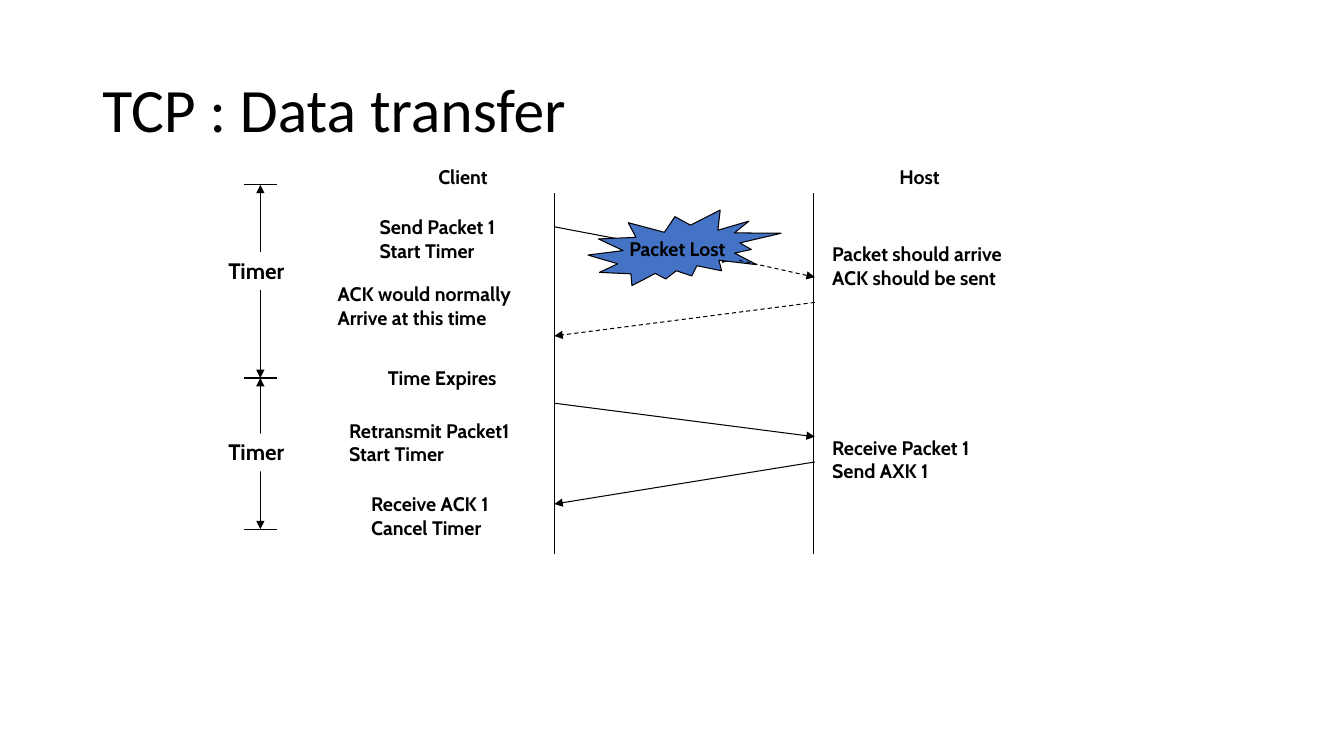
from lxml import etree
from pptx import Presentation
from pptx.dml.color import RGBColor
from pptx.enum.dml import MSO_LINE
from pptx.enum.shapes import MSO_CONNECTOR, MSO_SHAPE
from pptx.enum.text import MSO_ANCHOR, PP_ALIGN
from pptx.oxml.ns import qn
from pptx.util import Emu, Pt

STRAIGHT = MSO_CONNECTOR.STRAIGHT
DASH = MSO_LINE.DASH
RECTANGLE = MSO_SHAPE.RECTANGLE
BURST = MSO_SHAPE.EXPLOSION2
TOP, MIDDLE = MSO_ANCHOR.TOP, MSO_ANCHOR.MIDDLE
LEFT, CENTER = PP_ALIGN.LEFT, PP_ALIGN.CENTER

EMU_PER_PX = 9525
BLACK, WHITE, BLUE = "000000", "FFFFFF", "4472C4"
CLIENT_X, HOST_X, ARROW_HOST_X = 528, 775, 776
TIMER_X, TICK_HALF = 248, 16


def px(length):
    return Emu(length * EMU_PER_PX)


def color(value):
    return RGBColor.from_string(value)


class Diagram:
    """Style and drawing methods for one slide."""

    label_format = {"name": "Cabin", "size": Pt(14), "bold": True}
    timer_format = {"name": "Cabin", "size": Pt(16), "bold": True}
    title_format = {"name": "Calibri", "size": Pt(44), "bold": False}
    line_width = Pt(0.75)

    def __init__(self, slide):
        self.slide = slide

    def fill_text(self, shape, text, font_format, anchor=TOP, align=LEFT,
                  wrap=True, spacing=1.0):
        frame = shape.text_frame
        frame.word_wrap = wrap
        frame.vertical_anchor = anchor
        frame.text = text
        for paragraph in frame.paragraphs:
            paragraph.alignment = align
            paragraph.line_spacing = spacing
            font = paragraph.runs[0].font
            for name, value in font_format.items():
                setattr(font, name, value)
            font.color.rgb = color(BLACK)

    def text(self, box, text, font_format=label_format, **layout):
        shape = self.slide.shapes.add_textbox(*map(px, box))
        self.fill_text(shape, text, font_format, **layout)

    def shape(self, kind, box, fill, text, font_format, outlined=False, **layout):
        shape = self.slide.shapes.add_shape(kind, *map(px, box))
        shape.shadow.inherit = False
        shape.fill.solid()
        shape.fill.fore_color.rgb = color(fill)
        if outlined:
            shape.line.color.rgb = color(BLACK)
            shape.line.width = self.line_width
        else:
            shape.line.fill.background()
        self.fill_text(shape, text, font_format, **layout)

    def line(self, start, end, arrows=(), dashed=False):
        """Draw a line; arrows may hold headEnd and tailEnd, in that order."""
        connector = self.slide.shapes.add_connector(
            STRAIGHT, *map(px, start + end))
        connector.line.color.rgb = color(BLACK)
        connector.line.width = self.line_width
        if dashed:
            connector.line.dash_style = DASH
        properties = connector.element.spPr
        outline = properties.find(qn("a:ln"))
        for arrow in arrows:
            etree.SubElement(outline, qn(f"a:{arrow}"), type="triangle")
        etree.SubElement(properties, qn("a:effectLst"))

    def message(self, start, end, dashed=False):
        self.line(start, end, ("tailEnd",), dashed)


def main():
    presentation = Presentation()
    presentation.slide_width, presentation.slide_height = px(1280), px(720)
    slide = presentation.slides.add_slide(presentation.slide_layouts[6])
    diagram = Diagram(slide)

    # Title
    diagram.text((88, 38, 1104, 139), "TCP : Data transfer",
                 Diagram.title_format, anchor=MIDDLE, spacing=0.9)

    # Lifelines of client and host
    for x in (CLIENT_X, HOST_X):
        diagram.line((x, 184), (x, 528))

    # Labels: left, top, width, text
    labels = [
        (847, 152, 64, "Host"),
        (408, 152, 74, "Client"),
        (352, 200, 154, "Send Packet 1\nStart Timer"),
        (312, 264, 211, "ACK would normally\nArrive at this time"),
        (360, 344, 140, "Time Expires"),
        (323, 394, 206, "Retransmit Packet1\nStart Timer"),
        (344, 464, 156, "Receive ACK 1\nCancel Timer"),
        (783, 226, 219, "Packet should arrive\nACK should be sent"),
        (783, 410, 180, "Receive Packet 1\nSend AXK 1"),
    ]
    for left, top, width, text in labels:
        height = 55 if "\n" in text else 32
        diagram.text((left, top, width, height), text)

    # Messages, with the lost packet over the first one
    diagram.message((CLIENT_X, 216), (696, 248))
    diagram.message((ARROW_HOST_X, 288), (CLIENT_X, 320), dashed=True)
    diagram.message((CLIENT_X, 384), (ARROW_HOST_X, 416))
    diagram.message((ARROW_HOST_X, 440), (CLIENT_X, 480))
    diagram.shape(BURST, (560, 200, 184, 72), BLUE, "Packet Lost",
                  Diagram.label_format, outlined=True, anchor=MIDDLE,
                  align=CENTER, wrap=False)
    diagram.message((704, 248), (ARROW_HOST_X, 264), dashed=True)

    # Timer spans: ticks, double arrows and labels
    ticks = (176, 360, 504)
    for y in ticks:
        diagram.line((TIMER_X - TICK_HALF, y), (TIMER_X + TICK_HALF, y))
    for start, end, label_top in zip(ticks, ticks[1:], (240, 413)):
        diagram.line((TIMER_X, start), (TIMER_X, end), ("headEnd", "tailEnd"))
        diagram.shape(RECTANGLE, (208, label_top, 82, 36), WHITE, "Timer",
                      Diagram.timer_format)

    presentation.save("out.pptx")


if __name__ == "__main__":
    main()
